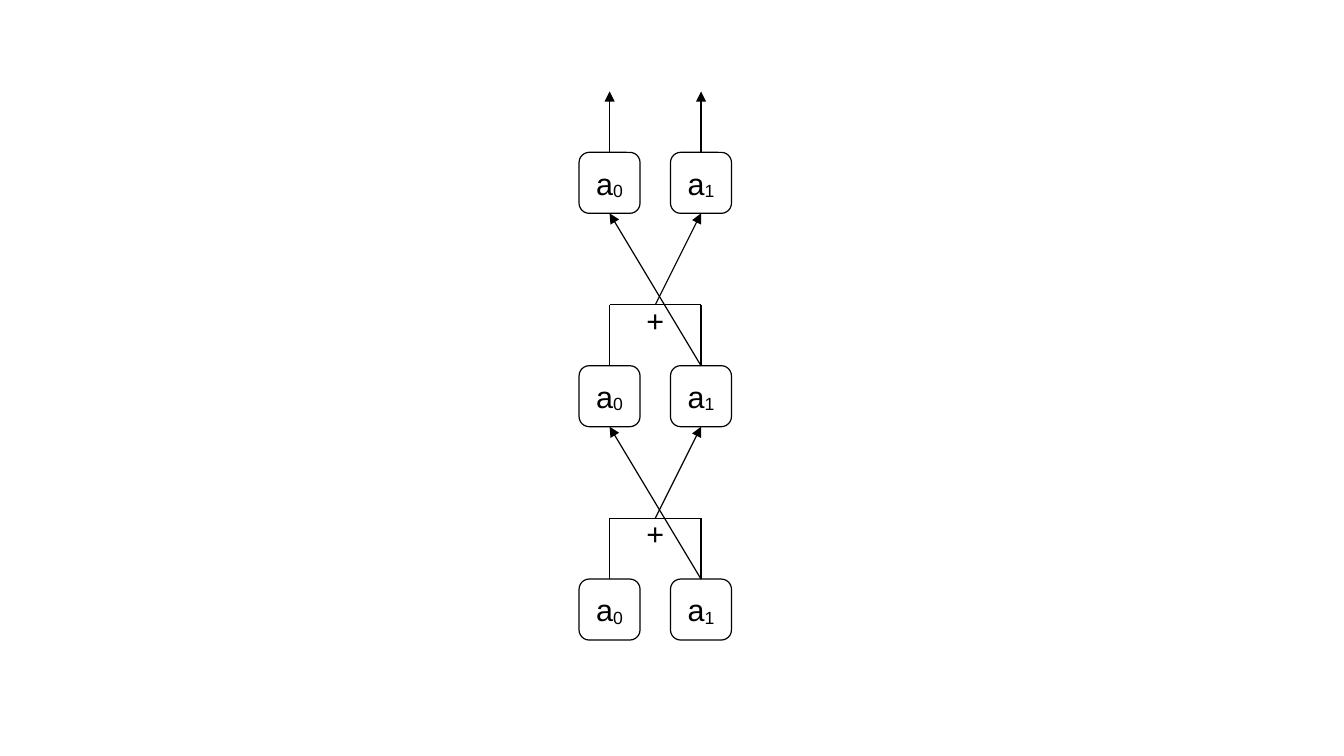
from lxml.etree import SubElement
from pptx import Presentation
from pptx.dml.color import RGBColor
from pptx.enum.shapes import MSO_CONNECTOR, MSO_SHAPE
from pptx.enum.text import MSO_ANCHOR, PP_ALIGN
from pptx.oxml.ns import qn
from pptx.util import Cm, Pt

BLACK, WHITE = "000000", "FFFFFF"
FONT = "Arial"
UNIT = 1.27           # grid step in cm, also the side of a cell
COLS = 10, 11.5       # cell centres, in grid steps
ROWS = 9.5, 6, 2.5    # cell tops from the first state to the last, in grid steps
THIN = Pt(0.71)

color = RGBColor.from_string


def write(shape, text, sub="", size=18, ink=BLACK):
    """Centre text in the shape, followed by an optional subscript."""
    frame = shape.text_frame
    frame.word_wrap = True
    frame.vertical_anchor = MSO_ANCHOR.MIDDLE
    para = frame.paragraphs[0]
    para.alignment = PP_ALIGN.CENTER
    for part in filter(None, (text, sub)):
        run = para.add_run()
        run.text = part
        run.font.name = FONT
        run.font.size = Pt(size)
        run.font.color.rgb = color(ink)
    if sub:
        run.font._element.set("baseline", "-8000")


def link(x1, y1, x2, y2, arrow=False):
    """Join two grid points, with an optional arrowhead at the second."""
    ends = [Cm(v * UNIT) for v in (x1, y1, x2, y2)]
    line = slide.shapes.add_connector(MSO_CONNECTOR.STRAIGHT, *ends)
    line.line.color.rgb = color(BLACK)
    line.line.width = THIN
    if arrow:
        SubElement(line.line._get_or_add_ln(), qn("a:tailEnd"), type="triangle")
    SubElement(line._element.spPr, qn("a:effectLst"))


deck = Presentation()
deck.slide_width, deck.slide_height = Cm(28), Cm(15.75)
slide = deck.slides.add_slide(deck.slide_layouts[6])
left, right = COLS
mid = (left + right) / 2

# Cells of each state
for top in ROWS:
    for sub, x in zip("01", COLS):
        cell = slide.shapes.add_shape(
            MSO_SHAPE.ROUNDED_RECTANGLE,
            Cm((x - 0.5) * UNIT), Cm(top * UNIT), Cm(UNIT), Cm(UNIT))
        cell.shadow.inherit = False
        cell.fill.solid()
        cell.fill.fore_color.rgb = color(WHITE)
        cell.line.color.rgb = color(BLACK)
        cell.line.width = THIN
        write(cell, "a", sub=sub)

# Shift and sum from each state to the next
for top, after in zip(ROWS, ROWS[1:]):
    bar, goal = top - 1, after + 1
    link(right, top, left, goal, arrow=True)
    for x in COLS:
        link(x, top, x, bar)
    link(left, bar, right, bar)
    link(mid, bar, right, goal, arrow=True)
    side = Cm((right - left) * UNIT)
    plus = slide.shapes.add_textbox(
        Cm(left * UNIT), Cm((bar - 0.5) * UNIT), side, side)
    write(plus, "+")

# Way out of the last state
for x in COLS:
    link(x, ROWS[-1], x, ROWS[-1] - 1, arrow=True)

deck.save("out.pptx")
